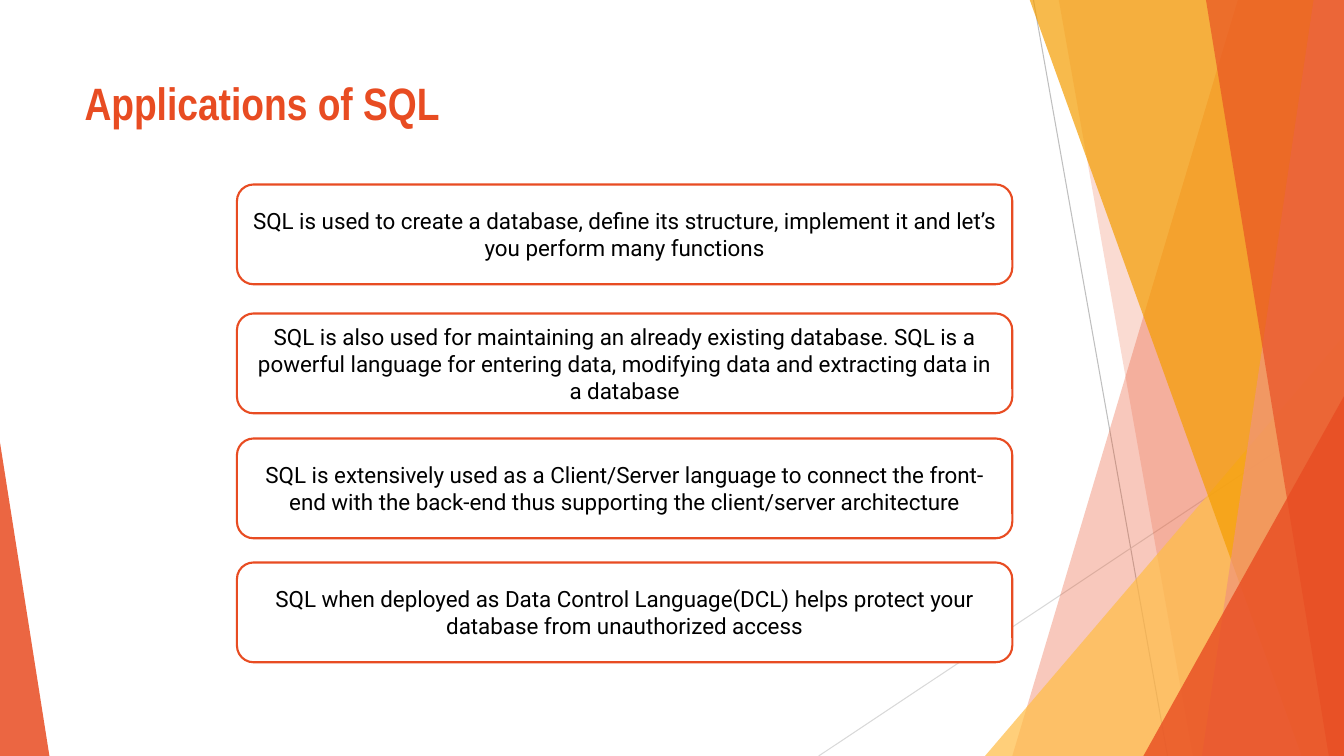
import pptx
import pptx.util
import pptx.dml.color
import pptx.enum.shapes
import pptx.enum.text
import pptx.oxml
import pptx.oxml.ns

Inches = pptx.util.Inches
RGBColor = pptx.dml.color.RGBColor
SHAPE = pptx.enum.shapes.MSO_SHAPE

ORANGE = RGBColor(0xE8, 0x4C, 0x22)
AMBER = RGBColor(0xFF, 0xBD, 0x47)
GOLD = RGBColor(0xF4, 0x9D, 0x00)
SALMON = RGBColor(0xF1, 0x94, 0x7A)
GREY = RGBColor(0xBF, 0xBF, 0xBF)
LIGHT_GREY = RGBColor(0xD9, 0xD9, 0xD9)
WHITE = RGBColor(0xFF, 0xFF, 0xFF)
BLACK = RGBColor(0, 0, 0)

WIDTH, HEIGHT = 13.33, 7.5
APPLICATIONS = [
    "SQL is used to create a database, define its structure, implement it and let’s "
    "you perform many functions",
    "SQL is also used for maintaining an already existing database. SQL is a powerful "
    "language for entering data, modifying data and extracting data in a database",
    "SQL is extensively used as a Client/Server language to connect the front-end with "
    "the back-end thus supporting the client/server architecture",
    "SQL when deployed as Data Control Language(DCL) helps protect your database from "
    "unauthorized access",
]


def tint(shape, color, opacity):
    """Fill a borderless shape with a see-through colour."""
    shape.shadow.inherit = False
    shape.line.fill.background()
    shape.fill.solid()
    shape.fill.fore_color.rgb = color
    alpha = pptx.oxml.parse_xml(
        f'<a:alpha {pptx.oxml.ns.nsdecls("a")} val="{opacity * 1000}"/>')
    shape.fill._xPr.find(".//" + pptx.oxml.ns.qn("a:srgbClr")).append(alpha)


def add_hairline(page, start, end, color):
    line = page.shapes.add_connector(
        pptx.enum.shapes.MSO_CONNECTOR.STRAIGHT, *map(Inches, start + end))
    line.line.color.rgb = color
    line.line.width = pptx.util.Pt(0.75)
    line._element.spPr.append(pptx.oxml.parse_xml(
        f'<a:effectLst {pptx.oxml.ns.nsdecls("a")}/>'))


def add_band(page, top_left, bottom_left, color, opacity):
    """Draw a band with a slanted left side that reaches the right edge."""
    top = -0.01
    corners = [(WIDTH, top), (WIDTH, HEIGHT), (bottom_left, HEIGHT)]
    outline = page.shapes.build_freeform(Inches(top_left), Inches(top))
    outline.add_line_segments([(Inches(x), Inches(y)) for x, y in corners])
    tint(outline.convert_to_shape(), color, opacity)


def add_corner(page, left, top, width, apex, color, opacity):
    """Draw a triangle that stands on the bottom edge."""
    corner = page.shapes.add_shape(
        SHAPE.ISOSCELES_TRIANGLE, *map(Inches, (left, top, width, HEIGHT - top)))
    corner.adjustments[0] = apex
    tint(corner, color, opacity)


def add_backdrop(page):
    add_hairline(page, (10.25, 0), (11.58, HEIGHT), GREY)
    add_hairline(page, (WIDTH, 4.03), (8.12, HEIGHT), LIGHT_GREY)
    add_band(page, 12.28, 10.04, ORANGE, 30)
    add_band(page, 10.5, 11.83, ORANGE, 20)
    add_corner(page, 9.77, 3.33, 3.56, 1, AMBER, 72)
    add_band(page, 10.21, 12.91, GOLD, 70)
    add_band(page, 13.03, 11.92, SALMON, 70)
    add_band(page, 11.96, 13.18, ORANGE, 65)
    add_corner(page, 11.34, 3.93, 1.99, 1, ORANGE, 80)
    add_corner(page, 0, 4.39, 0.49, 0, ORANGE, 85)


def write(box, text, font, size, color, align, bold=False):
    frame = box.text_frame
    frame.word_wrap = True
    frame.vertical_anchor = pptx.enum.text.MSO_ANCHOR.MIDDLE
    para = frame.paragraphs[0]
    para.alignment = align
    span = para.add_run()
    span.text = text
    span.font.name = font
    span.font.size = pptx.util.Pt(size)
    span.font.bold = bold
    span.font.color.rgb = color


def add_title(page, left, top, width, height):
    box = page.shapes.add_textbox(*map(Inches, (left, top, width, height)))
    write(box, "Applications of SQL", "Arial Narrow", 32.4, ORANGE,
          pptx.enum.text.PP_ALIGN.LEFT, bold=True)


def add_applications(page, left, top, width, card_height):
    # The first gap is a little wider than the others
    offsets = [0, 1.28, 2.52, 3.75]
    for offset, text in zip(offsets, APPLICATIONS):
        card = page.shapes.add_shape(
            SHAPE.ROUNDED_RECTANGLE,
            *map(Inches, (left, top + offset, width, card_height)))
        card.shadow.inherit = False
        card.fill.solid()
        card.fill.fore_color.rgb = WHITE
        card.line.color.rgb = ORANGE
        card.line.width = pptx.util.Pt(1.5)
        write(card, text, "Roboto", 16, BLACK, pptx.enum.text.PP_ALIGN.CENTER)


def main():
    deck = pptx.Presentation()
    deck.slide_width, deck.slide_height = Inches(WIDTH), Inches(HEIGHT)
    page = deck.slides.add_slide(deck.slide_layouts[6])
    add_backdrop(page)
    add_title(page, 0.74, 0.67, 9.4, 0.69)
    add_applications(page, 2.35, 1.83, 7.69, 0.99)
    deck.save("out.pptx")


if __name__ == "__main__":
    main()
